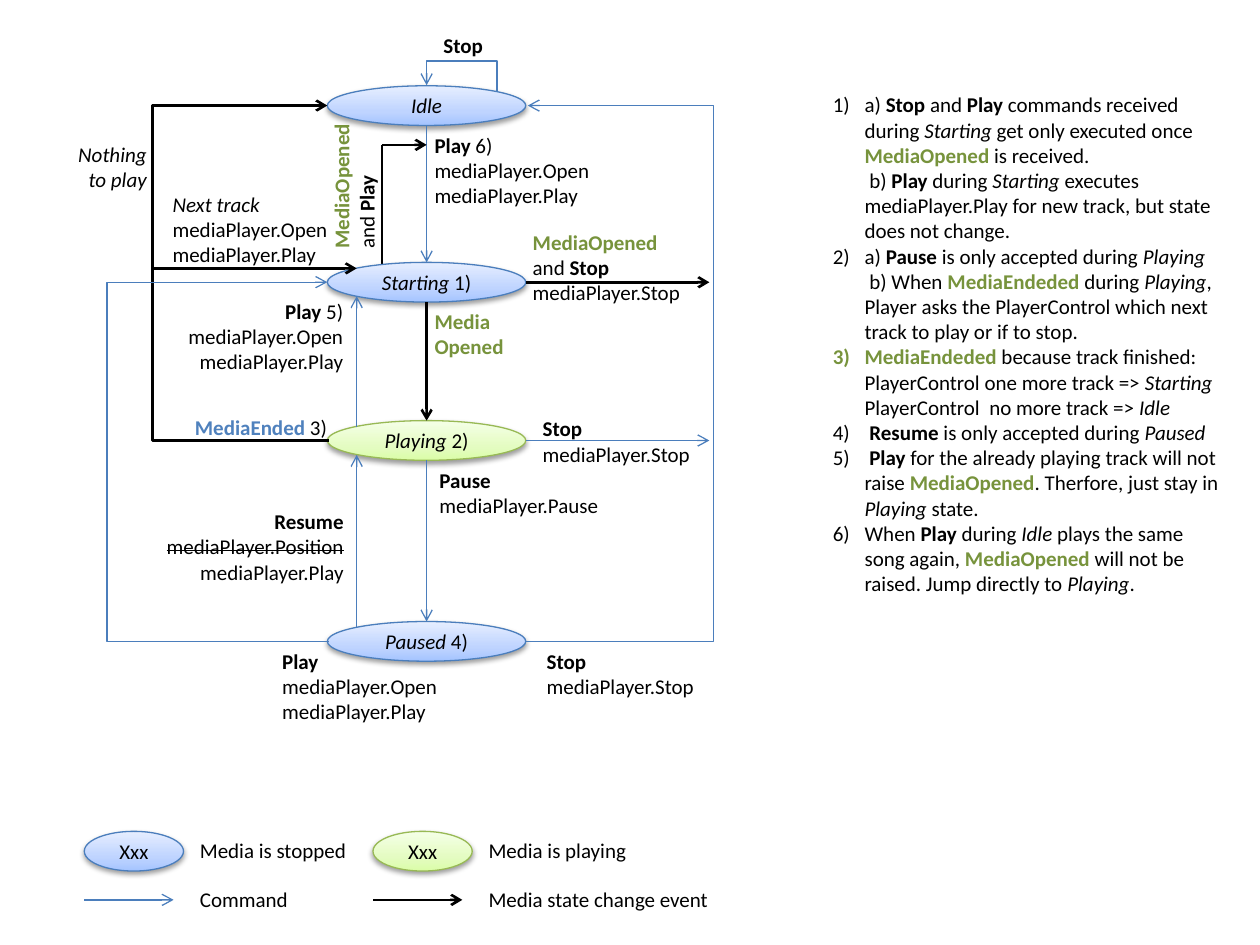
import pptx
import pptx.util
import pptx.dml.color
import pptx.enum.shapes
import pptx.enum.text
import pptx.oxml.ns
import lxml.etree

Cm = pptx.util.Cm
Pt = pptx.util.Pt
qn = pptx.oxml.ns.qn
ALIGN = pptx.enum.text.PP_ALIGN
CONNECTOR = pptx.enum.shapes.MSO_CONNECTOR

COLORS = {"text": "000000", "event": "000000", "command": "4B7EBC",
          "green": "77933C", "blue": "4F81BD", "playing": "98B955"}
GRADIENTS = {"command": ("A4C4FF", "BFD4FF", "E6EEFF"),
             "playing": ("DAFDA7", "E4FCC2", "F5FFE7")}
LINE_WIDTHS = {"command": 0.75, "event": 1.5}
STATE_HEIGHT = 0.8


def color(name):
    return pptx.dml.color.RGBColor.from_string(COLORS[name])


def child(parent, tag, **attributes):
    return lxml.etree.SubElement(parent, qn(tag), attributes)


def write(text_frame, paragraphs, align=ALIGN.LEFT, numbered=False):
    for index, runs in enumerate(paragraphs):
        paragraph = text_frame.paragraphs[0] if index == 0 else text_frame.add_paragraph()
        paragraph.alignment = align
        if numbered:
            properties = paragraph._p.get_or_add_pPr()
            properties.set("marL", str(Cm(0.64)))
            properties.set("indent", str(-Cm(0.64)))
            child(properties, "a:buFont", typeface="+mj-lt")
            child(properties, "a:buAutoNum", type="arabicParenR")
        for text, style in [(run, "") if isinstance(run, str) else run for run in runs]:
            if text == "\n":
                paragraph.add_line_break()
                continue
            run = paragraph.add_run()
            run.text = text
            run.font.name = "Calibri"
            run.font.size = Pt(12)
            run.font.bold = "b" in style
            run.font.italic = "i" in style
            run.font.color.rgb = color("green" if "g" in style else "blue" if "u" in style else "text")
            if "s" in style:
                run._r.get_or_add_rPr().set("strike", "sngStrike")


def add_label(slide, left, top, width, paragraphs, align=ALIGN.LEFT, rotation=0):
    height = 0.26 + 0.51 * len(paragraphs)
    shape = slide.shapes.add_textbox(Cm(left), Cm(top), Cm(width), Cm(height))
    shape.rotation = rotation
    shape.text_frame.word_wrap = False
    shape.text_frame.auto_size = pptx.enum.text.MSO_AUTO_SIZE.SHAPE_TO_FIT_TEXT
    write(shape.text_frame, paragraphs, align=align)


def add_state(slide, left, top, width, runs, kind="command"):
    shape = slide.shapes.add_shape(pptx.enum.shapes.MSO_SHAPE.OVAL,
                                   Cm(left), Cm(top), Cm(width), Cm(STATE_HEIGHT))
    shape.fill.gradient()
    shape.fill.gradient_angle = 90
    stops = shape._element.spPr.find(".//" + qn("a:gsLst"))
    for stop in list(stops):
        stops.remove(stop)
    for position, value in zip((0, 35000, 100000), GRADIENTS[kind]):
        child(child(stops, "a:gs", pos=str(position)), "a:srgbClr", val=value)
    shape.line.color.rgb = color(kind)
    shape.line.width = Pt(0.75)
    shape.shadow.inherit = False
    effects = shape._element.spPr.find(qn("a:effectLst"))
    shadow = child(effects, "a:outerShdw", blurRad=str(Pt(3.1)), dist=str(Pt(1.6)),
                   dir="5400000", rotWithShape="0")
    child(child(shadow, "a:srgbClr", val=COLORS["text"]), "a:alpha", val="38000")
    shape.text_frame.vertical_anchor = pptx.enum.text.MSO_ANCHOR.MIDDLE
    write(shape.text_frame, [runs], align=ALIGN.CENTER)


def add_line(slide, start, end, kind, arrow=True, elbow=CONNECTOR.STRAIGHT):
    connector = slide.shapes.add_connector(elbow, *map(Cm, start + end))
    connector.line.color.rgb = color(kind)
    connector.line.width = Pt(LINE_WIDTHS[kind])
    if arrow:
        child(connector.line._get_or_add_ln(), "a:tailEnd", type="arrow")
    child(connector._element.spPr, "a:effectLst")
    return connector


def add_elbow(slide, start, end, ratio, kind, rotation=0):
    connector = add_line(slide, start, end, kind, elbow=CONNECTOR.ELBOW)
    connector.rotation = rotation
    adjustments = connector._element.spPr.find(".//" + qn("a:avLst"))
    child(adjustments, "a:gd", name="adj1", fmla=f"val {round(ratio * 100000)}")


def draw_diagram(slide, left, top):
    def at(x, y):
        return left + x, top + y

    state_left, center, state_right, state_width = 5.5, 7.5, 9.5, 4
    add_line(slide, at(6.6, 2.42), at(6.6, 4.88), "event", arrow=False)
    for y, name, number, kind in (
            (1.23, "Idle", "", "command"), (4.79, "Starting", " 1)", "command"),
            (7.98, "Playing", " 2)", "playing"), (12.03, "Paused", " 4)", "command")):
        runs = [(name, "i")] + ([number] if number else [])
        add_state(slide, *at(state_left, y), state_width, runs, kind)

    for start, end, kind in (
            ((center, 2.03), (center, 4.79), "command"),
            ((center, 5.59), (center, 7.98), "event"),
            ((center, 8.78), (center, 12.03), "command"),
            ((state_right, 8.38), (13.2, 8.38), "command"),
            ((state_right, 5.19), (13.2, 5.19), "event"),
            ((6.09, 12.15), (6.09, 8.67), "command"),
            ((6.09, 8.11), (6.09, 5.47), "command"),
            ((1.97, 4.91), (6.09, 4.91), "event"),
            ((6.6, 2.42), (center, 2.42), "event")):
        add_line(slide, at(*start), at(*end), kind)

    for start, end, lane, kind in (
            ((9.5, 12.43), (9.54, 1.63), 13.28, "command"),
            ((5.53, 8.38), (5.5, 1.63), 1.97, "event"),
            ((5.53, 12.43), (5.5, 5.19), 1.06, "command")):
        ratio = (lane - start[0]) / (end[0] - start[0])
        add_elbow(slide, at(*start), at(*end), ratio, kind)
    add_elbow(slide, at(8.15, 1.99), at(8.27, 0.57), 5.06, "command", rotation=270)

    open_play = [["mediaPlayer.Open"], ["mediaPlayer.Play"]]
    stop = [("Stop", "b")]
    stop_player = ["mediaPlayer.Stop"]
    for x, y, width, paragraphs, align in (
            (7.41, 2.04, 3.66, [[("Play", "b"), " 6)"]] + open_play, ALIGN.LEFT),
            (7.41, 5.6, 1.93, [[("Media", "bg")], [("Opened", "bg")]], ALIGN.LEFT),
            (7.51, 8.8, 3.76, [[("Pause", "b")], ["mediaPlayer.Pause"]], ALIGN.LEFT),
            (9.59, 7.76, 3.51, [stop, stop_player], ALIGN.LEFT),
            (2.58, 7.73, 3.2, [[("MediaEnded", "bu"), " 3)"]], ALIGN.LEFT),
            (1.97, 9.63, 4.11, [[("Resume", "b")], [("mediaPlayer.Position", "s")],
                                ["mediaPlayer.Play"]], ALIGN.RIGHT),
            (0.2, 2.22, 1.91, [[("Nothing", "i")], [("to play", "i")]], ALIGN.RIGHT),
            (2.13, 3.23, 3.66, [[("Next track", "i")]] + open_play, ALIGN.LEFT),
            (2.41, 5.39, 3.66, [[("Play", "b"), " 5)"]] + open_play, ALIGN.RIGHT),
            (4.34, 12.45, 3.66, [[("Play", "b")]] + open_play, ALIGN.LEFT),
            (9.67, 12.45, 3.51, [stop, stop_player], ALIGN.LEFT),
            (7.59, 0.03, 1.32, [stop], ALIGN.LEFT),
            (9.39, 4, 3.51, [[("MediaOpened", "bg")], ["and ", ("Stop", "b")],
                             stop_player], ALIGN.LEFT)):
        add_label(slide, *at(x, y), width, paragraphs, align)
    add_label(slide, *at(4.46, 2.55), 3.15,
              [[("MediaOpened", "bg")], ["and ", ("Play", "b")]], rotation=270)


def draw_notes(slide, left, top, width):
    shape = slide.shapes.add_textbox(Cm(left), Cm(top), Cm(width), Cm(0.76))
    shape.text_frame.word_wrap = True
    play, playing, opened = ("Play", "b"), ("Playing", "i"), ("MediaOpened", "bg")
    ended, starting, idle = ("MediaEndeded", "bg"), ("Starting", "i"), ("Idle", "i")
    write(shape.text_frame, [
        ["a) ", ("Stop", "b"), " and ", play, " commands received during ", starting,
         " get only executed once ", opened, " is received.", "\n", " b) ", play,
         " during ", starting,
         " executes mediaPlayer.Play for new track, but state does not change."],
        ["a) ", ("Pause", "b"), " is only accepted during ", playing, "\n", " b) When ",
         ended, " during ", playing,
         ", Player asks the PlayerControl which next track to play or if to stop."],
        [ended, " because track finished:", "\n", "PlayerControl one more track => ",
         starting, "\n", "PlayerControl  no more track => ", idle],
        [" ", ("Resume", "b"), " is only accepted during ", ("Paused", "i")],
        [" ", play, " for the already playing track will not raise ", opened,
         ". Therfore, just stay in ", playing, " state."],
        ["When ", play, " during ", idle, " plays the same song again, ", opened,
         " will not be raised. Jump directly to ", playing, "."],
    ], numbered=True)


def draw_legend(slide, left, top):
    for column, (state_kind, state_text, state_width, line_kind, line_text, line_width) in enumerate((
            ("command", "Media is stopped", 3.48, "command", "Command", 2.31),
            ("playing", "Media is playing", 3.3, "event", "Media state change event", 4.98))):
        x = left + column * 5.82
        add_state(slide, x, top, 2, ["Xxx"], state_kind)
        add_label(slide, x + 2.08, top, state_width, [[state_text]])
        add_line(slide, (x, top + 1.38), (x + 1.8, top + 1.38), line_kind)
        add_label(slide, x + 2.08, top + 0.99, line_width, [[line_text]])


presentation = pptx.Presentation()
presentation.slide_width = Cm(25.4)
presentation.slide_height = Cm(19.05)
slide = presentation.slides.add_slide(presentation.slide_layouts[6])
draw_diagram(slide, 1.1, 0.5)
draw_notes(slide, 16.54, 1.73, 8.36)
draw_legend(slide, 1.7, 16.76)
presentation.save("out.pptx")
